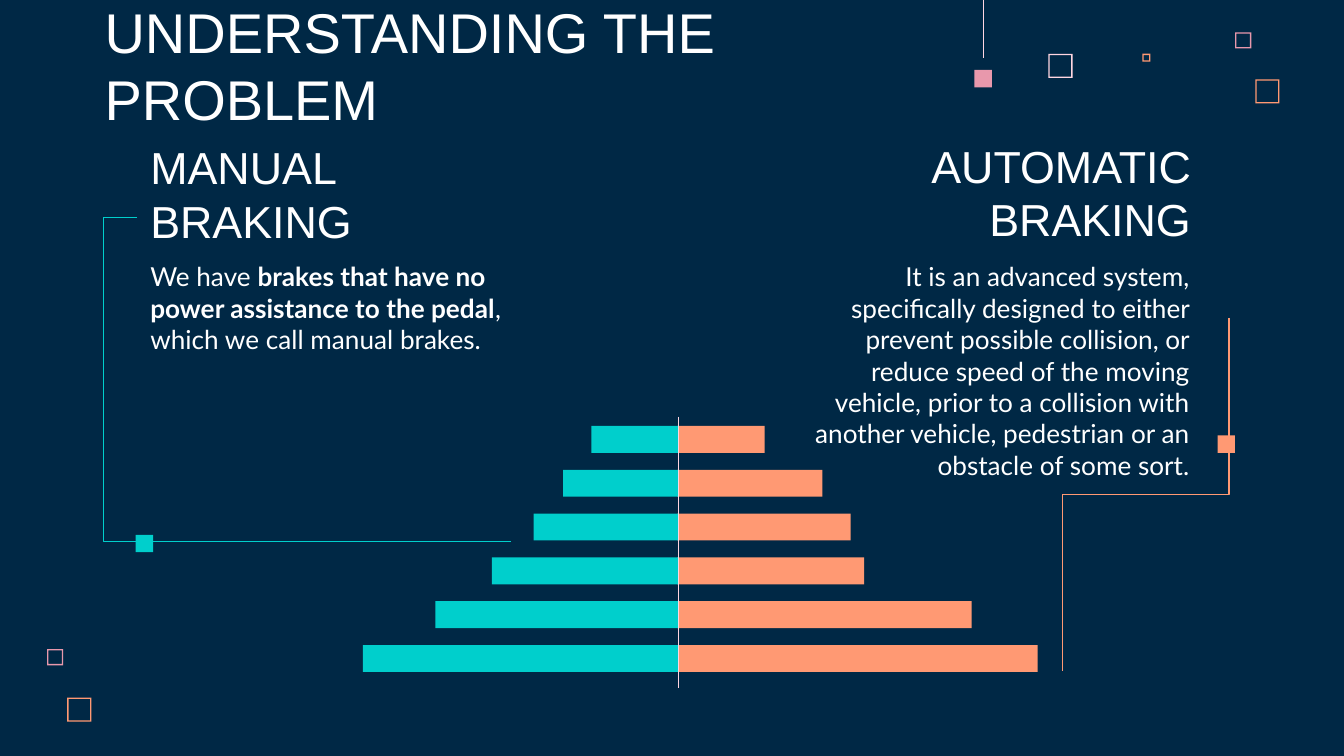
from lxml import etree
from pptx import Presentation
from pptx.dml.color import RGBColor
from pptx.enum.shapes import MSO_CONNECTOR as CONNECTOR, MSO_SHAPE as SHAPE
from pptx.enum.text import MSO_ANCHOR as ANCHOR, PP_ALIGN as ALIGN
from pptx.oxml.ns import qn
from pptx.util import Inches, Pt

COLORS = {
    "navy": "002845", "white": "FFFFFF", "teal": "00CFCC",
    "orange": "FF9973", "pink": "E898AC", "blush": "FFD6E1",
}


class SlideBuilder:
    heading_font = "Arial"
    body_font = "Lato"
    inset = Inches(0.1)

    def __init__(self, slide):
        self.slide = slide
        slide.background.fill.solid()
        slide.background.fill.fore_color.rgb = self.color("navy")

    def color(self, name):
        return RGBColor.from_string(COLORS[name])

    def box(self, left, top, width, height, color, kind=SHAPE.RECTANGLE):
        shape = self.slide.shapes.add_shape(
            kind, Inches(left), Inches(top), Inches(width), Inches(height))
        shape.shadow.inherit = False
        shape.fill.solid()
        shape.fill.fore_color.rgb = self.color(color)
        shape.line.fill.background()
        return shape

    def frame(self, left, top, size, color):
        shape = self.box(left, top, size, size, color, SHAPE.FRAME)
        shape.adjustments[0] = 0.01 / size

    def line(self, start, end, color, width=0.75, kind=CONNECTOR.STRAIGHT):
        connector = self.slide.shapes.add_connector(
            kind, *(Inches(value) for value in (*start, *end)))
        connector.line.color.rgb = self.color(color)
        connector.line.width = Pt(width)
        etree.SubElement(connector._element.spPr, qn("a:effectLst"))
        return connector

    def elbow(self, start, end, color, bend, rotation=0):
        """Bend is the knee's share of the way; rotation is in degrees."""
        connector = self.line(start, end, color, kind=CONNECTOR.ELBOW)
        properties = connector._element.spPr
        properties.find(qn("a:xfrm")).set("rot", str(rotation * 60000))
        guides = properties.find(qn("a:prstGeom")).find(qn("a:avLst"))
        etree.SubElement(guides, qn("a:gd"), name="adj1",
                         fmla=f"val {round(bend * 100000)}")

    def text(self, left, top, width, height, runs, size, font,
             align=ALIGN.LEFT, anchor=ANCHOR.TOP):
        """Runs are pairs of wording and boldness."""
        shape = self.slide.shapes.add_textbox(
            Inches(left), Inches(top), Inches(width), Inches(height))
        frame = shape.text_frame
        frame.word_wrap = True
        frame.vertical_anchor = anchor
        frame.margin_left = frame.margin_right = self.inset
        frame.margin_top = frame.margin_bottom = self.inset
        paragraph = frame.paragraphs[0]
        paragraph.alignment = align
        paragraph.line_spacing = 1.0
        paragraph.font.size = Pt(size)
        paragraph.font.name = font
        paragraph.font.color.rgb = self.color("white")
        for wording, bold in runs:
            run = paragraph.add_run()
            run.text = wording
            run.font.bold = bold

    def heading(self, left, top, width, wording, size, align=ALIGN.LEFT):
        self.text(left, top, width, 0.63, [(wording, False)], size,
                  self.heading_font, align, ANCHOR.BOTTOM)

    def body(self, left, width, runs, align=ALIGN.LEFT):
        self.text(left, 1.84, width, 1.22, runs, 14, self.body_font, align)


def main():
    presentation = Presentation()
    presentation.slide_width = Inches(10)
    presentation.slide_height = Inches(10) * 9 // 16
    builder = SlideBuilder(
        presentation.slides.add_slide(presentation.slide_layouts[6]))

    # Corner decoration
    for left, top, size, color in [
        (7.8, 0.4, 0.18, "blush"), (9.19, 0.24, 0.12, "pink"),
        (8.5, 0.4, 0.06, "orange"), (9.34, 0.59, 0.18, "orange"),
        (0.35, 4.83, 0.12, "pink"), (0.5, 5.19, 0.18, "orange"),
    ]:
        builder.frame(left, top, size, color)
    builder.box(7.25, 0.52, 0.13, 0.13, "pink")
    builder.line((7.32, 0), (7.32, 0.43), "blush", 0.5)

    # Title and the two columns
    builder.heading(0.68, 0.45, 6.73, "UNDERSTANDING THE PROBLEM", 30)
    builder.heading(1.02, 1.31, 2.53, "MANUAL BRAKING", 24)
    builder.body(1.02, 2.87, [
        ("We have ", False),
        ("brakes that have no power assistance to the pedal", True),
        (", which we call manual brakes.", False),
    ])
    builder.heading(5.83, 1.3, 3.13, "AUTOMATIC BRAKING", 24, ALIGN.RIGHT)
    builder.body(5.96, 2.99, [(
        "It is an advanced system, specifically designed to either prevent "
        "possible collision, or reduce speed of the moving vehicle, prior to "
        "a collision with another vehicle, pedestrian or an obstacle of some "
        "sort.", False)], ALIGN.RIGHT)

    # Pyramid of bars on both sides of the axis
    axis, first_top, pitch, bar_height = 5.05, 3.17, 0.33, 0.2
    manual_widths = [0.65, 0.86, 1.08, 1.39, 1.81, 2.35]
    automatic_widths = [0.65, 1.08, 1.29, 1.39, 2.19, 2.68]
    pitch = (4.8 - first_top) / (len(manual_widths) - 1)
    for row, (manual, automatic) in enumerate(
            zip(manual_widths, automatic_widths)):
        top = first_top + row * pitch
        builder.box(axis - 0.01, top, automatic, bar_height, "orange")
        builder.box(axis - manual, top, manual, bar_height, "teal")
    builder.line((axis, 3.1), (axis, 5.12), "blush")

    # Elbow lines with their square markers
    builder.elbow((1.02, 1.62), (3.8, 4.03), "teal", -0.09)
    builder.elbow((7.21, 3.06), (9.84, 4.3), "orange", 0.5, rotation=90)
    builder.box(1.01, 3.98, 0.13, 0.13, "teal")
    builder.box(9.06, 3.24, 0.13, 0.13, "orange")

    presentation.save("out.pptx")


if __name__ == "__main__":
    main()
